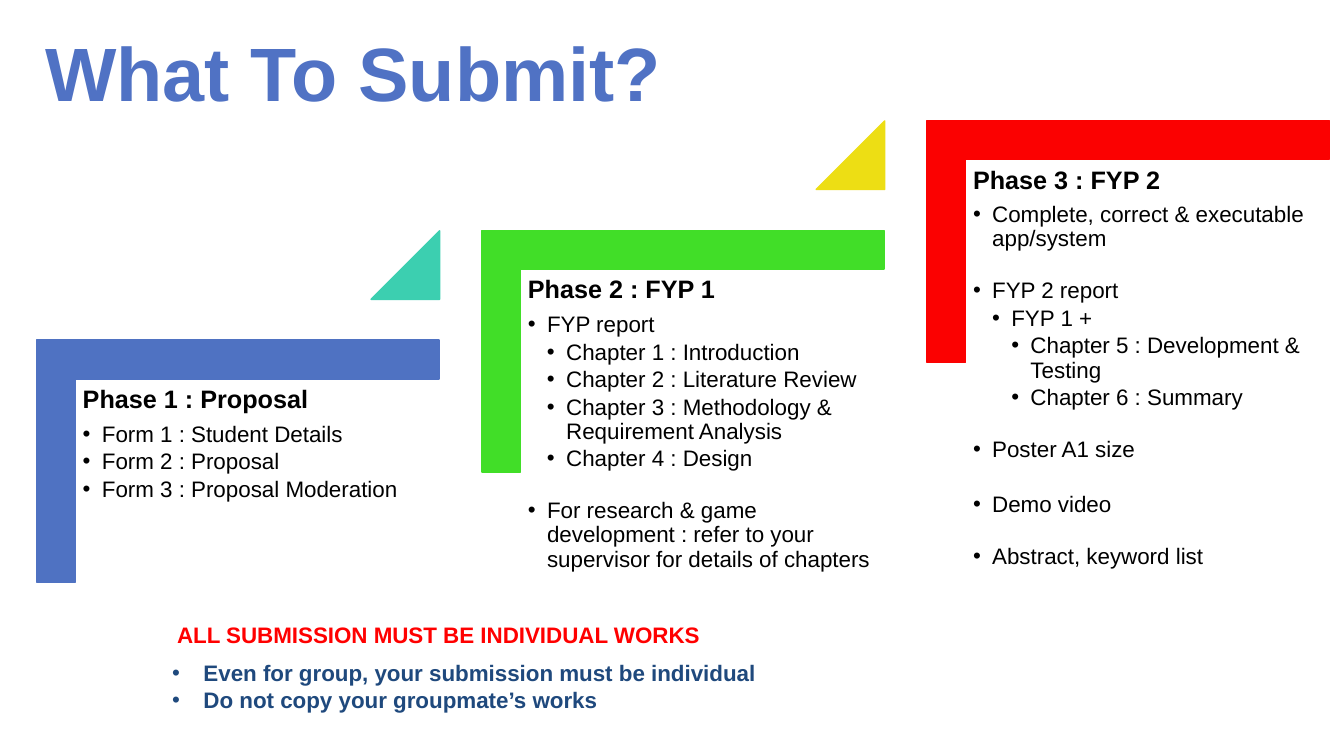
from dataclasses import dataclass

from lxml.etree import SubElement
from pptx import Presentation
from pptx.dml.color import RGBColor
from pptx.enum.shapes import MSO_SHAPE
from pptx.enum.text import MSO_ANCHOR, PP_ALIGN
from pptx.oxml.ns import qn
from pptx.shapes.autoshape import Shape
from pptx.slide import Slide
from pptx.util import Inches, Pt

SLIDE_WIDTH, SLIDE_HEIGHT = Inches(13.33), Inches(7.5)

BLUE = RGBColor(0x4F, 0x72, 0xC2)
TITLE_BLUE = RGBColor(0x50, 0x72, 0xC4)
NAVY = RGBColor(0x1F, 0x49, 0x7D)
GREEN = RGBColor(0x41, 0xDE, 0x28)
TEAL = RGBColor(0x3C, 0xCF, 0xB0)
YELLOW = RGBColor(0xED, 0xDE, 0x14)
RED = RGBColor(0xFB, 0x01, 0x01)
WARNING_RED = RGBColor(0xFF, 0x00, 0x00)
BLACK = RGBColor(0x00, 0x00, 0x00)

BULLET_INDENT = 0.19
FIRST_GAP, ITEM_GAP, GROUP_GAP, WIDE_GAP = 6.3, 2.4, 19.8, 22


@dataclass(frozen=True)
class Area:
    """A box in percent of the slide's width and height."""
    left: float
    top: float
    width: float
    height: float

    def moved(self, steps: int) -> "Area":
        """Return the same box on a later stair of the staircase."""
        return Area(self.left + steps * STEP_RIGHT, self.top - steps * STEP_UP,
                    self.width, self.height)

    def lengths(self) -> tuple[int, int, int, int]:
        return (int(SLIDE_WIDTH * self.left / 100), int(SLIDE_HEIGHT * self.top / 100),
                int(SLIDE_WIDTH * self.width / 100), int(SLIDE_HEIGHT * self.height / 100))


@dataclass(frozen=True)
class Line:
    text: str
    size: float = 16
    color: RGBColor = BLACK
    bold: bool = False
    level: int = 0
    hanging: float = 0
    gap: float = 0
    spacing: float = 0.9
    alignment: PP_ALIGN = PP_ALIGN.LEFT


@dataclass(frozen=True)
class Phase:
    heading: str
    color: RGBColor
    items: list[Line]
    arrow_color: RGBColor | None = None


STEP_RIGHT, STEP_UP = 33.12, 14.53
BRACKET = Area(8.7, 34.4, 18, 53.2)
PHASE_TEXT = Area(5.63, 50.27, 27.08, 42.13)
TRIANGLE = Area(27.61, 30.53, 5.1, 9.07)
TITLE = Area(2.63, 4.93, 94.97, 10.53)
NOTES = Area(12.08, 86.53, 52.59, 12.13)
WARNING = Area(0, 81.47, 65.27, 4.93)


def item(text: str, level: int = 1, gap: float = ITEM_GAP) -> Line:
    return Line(text, level=level, hanging=BULLET_INDENT, gap=gap)


def note(text: str) -> Line:
    return Line(text, color=NAVY, bold=True, hanging=0.31, spacing=1)


PHASES = [
    Phase("Phase 1 : Proposal", BLUE, [
        item("Form 1 : Student Details", gap=FIRST_GAP),
        item("Form 2 : Proposal"),
        item("Form 3 : Proposal Moderation"),
    ], TEAL),
    Phase("Phase 2 : FYP 1", GREEN, [
        item("FYP report", gap=FIRST_GAP),
        item("Chapter 1 : Introduction", 2),
        item("Chapter 2 : Literature Review", 2),
        item("Chapter 3 : Methodology & Requirement Analysis", 2),
        item("Chapter 4 : Design", 2),
        item("For research & game development : refer to your supervisor "
             "for details of chapters", gap=GROUP_GAP),
    ], YELLOW),
    Phase("Phase 3 : FYP 2", RED, [
        item("Complete, correct & executable app/system", gap=FIRST_GAP),
        item("FYP 2 report", gap=GROUP_GAP),
        item("FYP 1 +", 2),
        item("Chapter 5 : Development & Testing", 3),
        item("Chapter 6 : Summary", 3),
        item("Poster A1 size", gap=GROUP_GAP),
        item("Demo video", gap=WIDE_GAP),
        item("Abstract, keyword list", gap=GROUP_GAP),
    ]),
]


def add_text(slide: Slide, area: Area, lines: list[Line], inset: tuple[float, float] = (0.1, 0.05),
             anchor: MSO_ANCHOR = MSO_ANCHOR.TOP) -> None:
    frame = slide.shapes.add_textbox(*area.lengths()).text_frame
    side, end = map(Inches, inset)
    frame_format = {"word_wrap": True, "vertical_anchor": anchor, "margin_left": side,
                    "margin_right": side, "margin_top": end, "margin_bottom": end}
    for name, value in frame_format.items():
        setattr(frame, name, value)
    for index, line in enumerate(lines):
        paragraph = frame.add_paragraph() if index else frame.paragraphs[0]
        paragraph_format = {"level": line.level, "alignment": line.alignment,
                            "line_spacing": line.spacing, "space_before": Pt(line.gap)}
        for name, value in paragraph_format.items():
            setattr(paragraph, name, value)
        run = paragraph.add_run()
        run.text = line.text
        font_format = {"name": "Arial", "size": Pt(line.size), "bold": line.bold}
        for name, value in font_format.items():
            setattr(run.font, name, value)
        run.font.color.rgb = line.color
        properties = paragraph._p.get_or_add_pPr()
        properties.set("marL", str(Inches(line.hanging * max(line.level, 1))))
        properties.set("indent", str(-Inches(line.hanging)))
        if line.hanging:
            bullet_color = SubElement(properties, qn("a:buClr"))
            SubElement(bullet_color, qn("a:srgbClr"), val=str(line.color))
            SubElement(properties, qn("a:buFont"), typeface="Arial")
            SubElement(properties, qn("a:buChar"), char="•")


def add_solid(slide: Slide, kind: MSO_SHAPE, area: Area, color: RGBColor,
              adjustments: list[float]) -> Shape:
    shape = slide.shapes.add_shape(kind, *area.lengths())
    shape.shadow.inherit = False
    shape.fill.solid()
    shape.fill.fore_color.rgb = color
    shape.line.color.rgb = color
    shape.line.width = Pt(1)
    for index, value in enumerate(adjustments):
        shape.adjustments[index] = value
    return shape


def add_phase(slide: Slide, phase: Phase, step: int) -> None:
    bracket = add_solid(slide, MSO_SHAPE.CORNER, BRACKET.moved(step), phase.color, [0.16, 0.16])
    bracket.rotation = 90
    heading = Line(phase.heading, size=18, bold=True)
    add_text(slide, PHASE_TEXT.moved(step), [heading, *phase.items], inset=(0.07, 0.07))
    if phase.arrow_color is not None:
        add_solid(slide, MSO_SHAPE.ISOSCELES_TRIANGLE, TRIANGLE.moved(step),
                  phase.arrow_color, [1])


def main() -> None:
    presentation = Presentation()
    presentation.slide_width, presentation.slide_height = SLIDE_WIDTH, SLIDE_HEIGHT
    slide = presentation.slides.add_slide(presentation.slide_layouts[6])
    add_text(slide, TITLE, [Line("What To Submit?", 54, TITLE_BLUE, bold=True)],
             anchor=MSO_ANCHOR.MIDDLE)
    for step, phase in enumerate(PHASES):
        add_phase(slide, phase, step)
    add_text(slide, NOTES, [note("Even for group, your submission must be individual"),
                            note("Do not copy your groupmate’s works")])
    add_text(slide, WARNING, [Line("ALL SUBMISSION MUST BE INDIVIDUAL WORKS", color=WARNING_RED,
                                   bold=True, spacing=1, alignment=PP_ALIGN.CENTER)])
    presentation.save("out.pptx")


if __name__ == "__main__":
    main()
